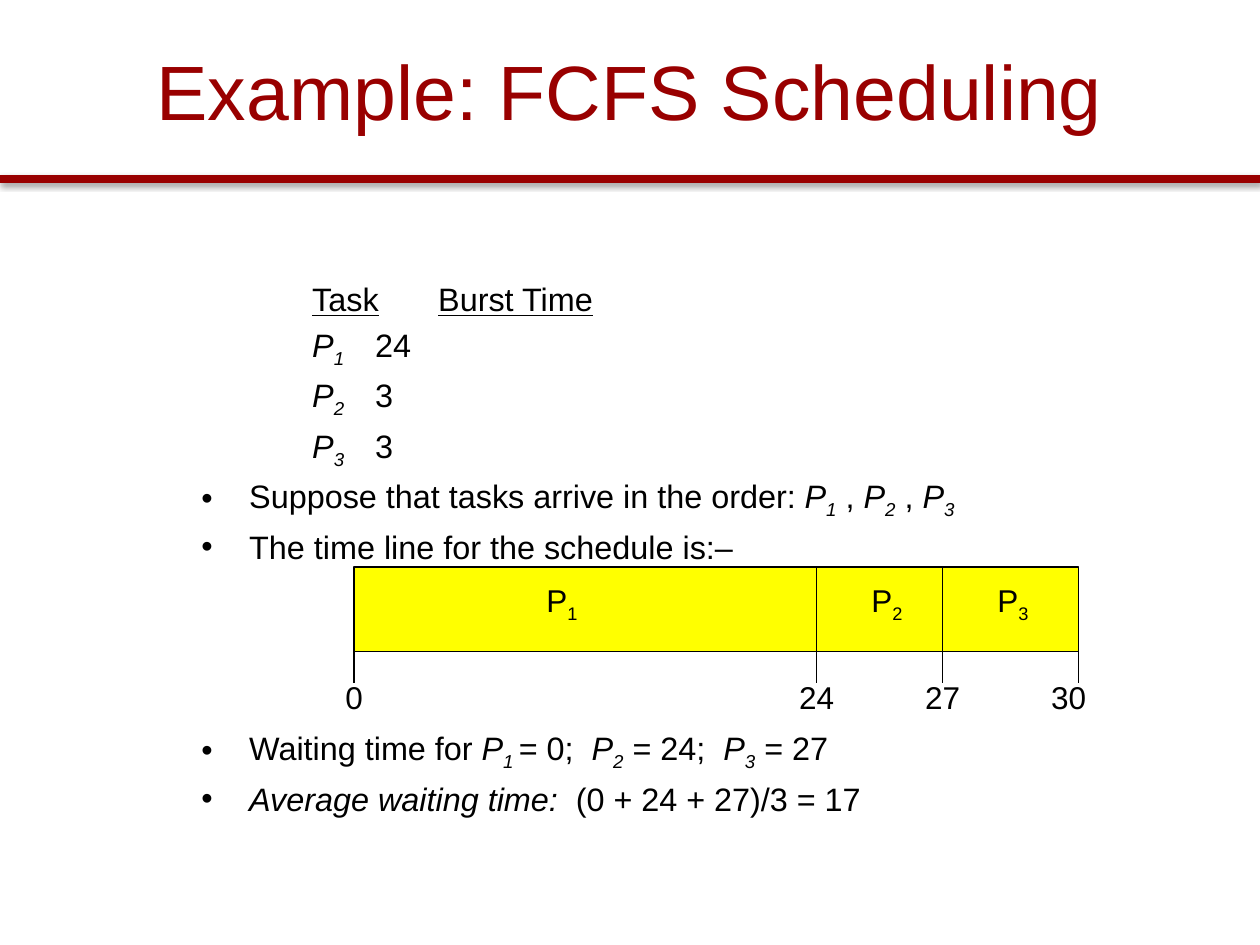
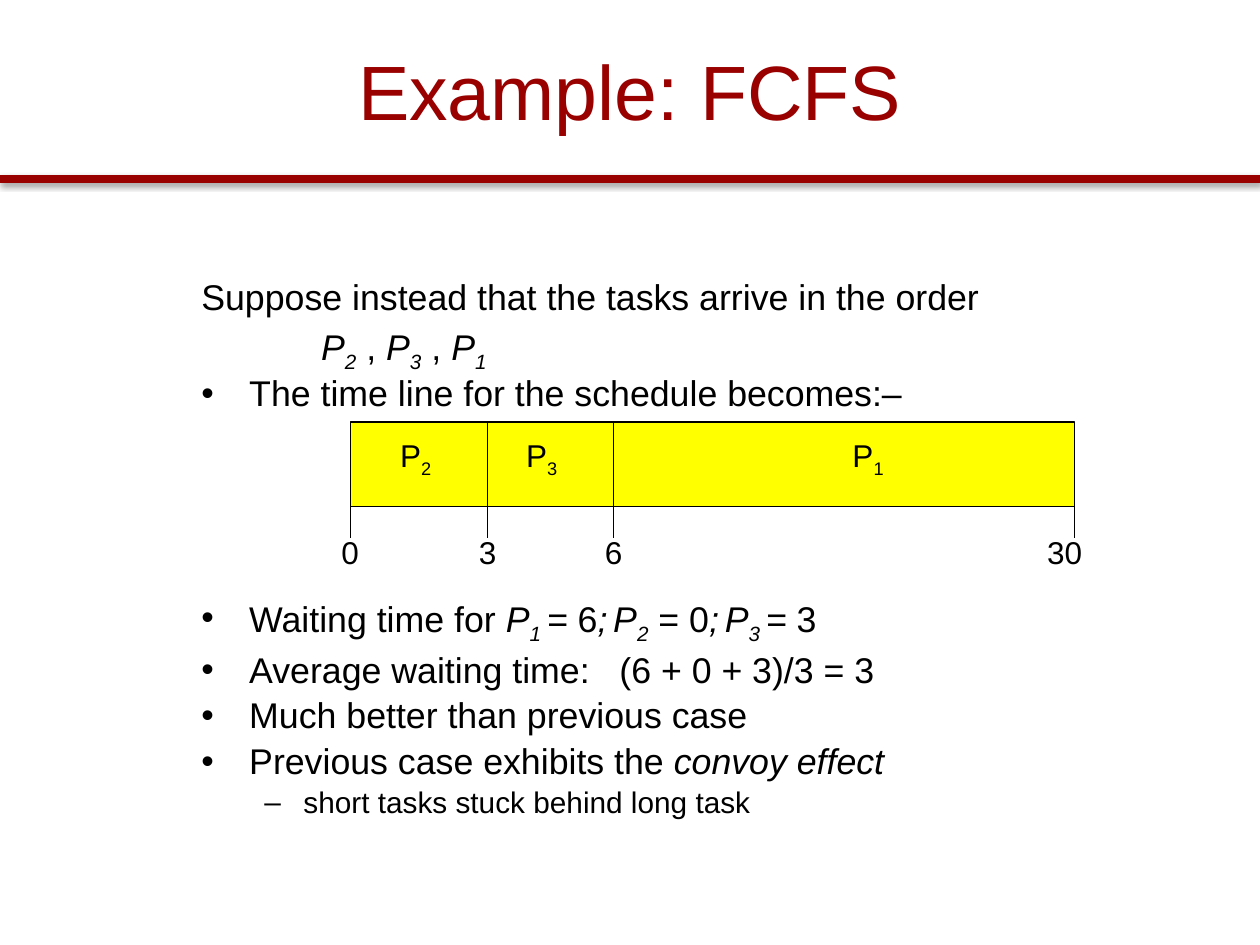
from lxml import etree
from pptx import Presentation
from pptx.dml.color import RGBColor
from pptx.enum.shapes import MSO_CONNECTOR, MSO_SHAPE
from pptx.enum.text import MSO_ANCHOR, PP_ALIGN
from pptx.oxml.ns import qn
from pptx.util import Inches, Pt

STRAIGHT, RECTANGLE = MSO_CONNECTOR.STRAIGHT, MSO_SHAPE.RECTANGLE
TOP, MIDDLE = MSO_ANCHOR.TOP, MSO_ANCHOR.MIDDLE
LEFT, CENTER = PP_ALIGN.LEFT, PP_ALIGN.CENTER
FONT, RED, BLACK, YELLOW = "Arial", "990000", "000000", "FFFF00"
WIDTH, HEIGHT = 10, 7.5
RULE_Y = 1.42
BAR_WIDTH, BAR_HEIGHT, TICK = 5.75, 0.67, 0.25
HANG = 0.38

# Runs are plain strings or (text, style): i italic, s subscript, u underlined
P1, P2, P3 = ([("P", "i"), (number, "is")] for number in "123")
SEMICOLON = [(";", "i"), (" ", "is")]
ROW = dict(margin=HANG + 0.5, indent=0)
ITEM = dict(bullet="•")

EXAMPLES = [
    dict(
        title="Example: FCFS Scheduling", body_height=4.5, size=18.5, line=1.0, before=3.6,
        body=[
            ([("Task", "u"), "\t", ("Burst Time", "u")], dict(ROW, before=2)),
            ([*P1, "\t24"], ROW),
            ([*P2, " \t3"], ROW),
            ([*P3, "\t3"], ROW),
            (["Suppose that tasks arrive in the order: ", *P1, " , ", *P2, " , ", *P3], ITEM),
            (["The time line for the schedule is:–"], ITEM),
            (["Waiting time for ", ("P", "i"), ("1 ", "is"), "= 0;  ", *P2, " = 24;  ", *P3, " = 27"],
             dict(ITEM, before=93)),
            ([("Average waiting time:", "i"), "  (0 + 24 + 27)/3 = 17"], ITEM),
        ],
        bar=(2.81, 4.5),
        marks=[("0", 0), ("24", 3.67), ("27", 4.67), ("30", BAR_WIDTH)],
        tasks=[("1", 1.65), ("2", 4.23), ("3", 5.23)],
    ),
    dict(
        title="Example: FCFS", body_height=4.67, size=20.4, line=0.9, before=4,
        body=[
            (["Suppose instead that the tasks arrive in the order"], dict(before=2)),
            ([*P2, " , ", *P3, " , ", *P1], dict(ROW, margin=0.95)),
            (["The time line for the schedule becomes:–"], ITEM),
            (["Waiting time for ", ("P", "i"), ("1 ", "is"), ("=", "i"), " 6", *SEMICOLON, *P2,
              " = 0", *SEMICOLON, ("P", "i"), ("3 ", "is"), ("= ", "i"), "3"],
             dict(ITEM, before=104.5)),
            (["Average waiting time:   (6 + 0 + 3)/3 = 3"], dict(ITEM, before=6.3)),
            (["Much better than previous case"], ITEM),
            (["Previous case exhibits the ", ("convoy effect", "i")], ITEM),
            (["short tasks stuck behind long task"],
             dict(bullet="–", margin=0.81, indent=-0.31, size=17, before=3.3)),
        ],
        bar=(2.78, 3.35),
        marks=[("0", 0), ("3", 1.09), ("6", 2.09), ("30", BAR_WIDTH)],
        tasks=[("2", 0.52), ("3", 1.52), ("1", 4.11)],
    ),
]


def write(slide, place, paragraphs, color=BLACK, size=18, align=CENTER, anchor=MIDDLE,
          wrap=False, line=1.0, margin=0, indent=0, before=0):
    """Add a text box; each paragraph is (runs, its own format)."""
    frame = slide.shapes.add_textbox(*map(Inches, place)).text_frame
    frame.word_wrap, frame.vertical_anchor = wrap, anchor
    for index, (runs, own) in enumerate(paragraphs):
        paragraph = frame.add_paragraph() if index else frame.paragraphs[0]
        paragraph.alignment, paragraph.line_spacing = align, line
        paragraph.space_before = Pt(own.get("before", before))
        properties = paragraph._p.get_or_add_pPr()
        properties.set("marL", str(Inches(own.get("margin", margin))))
        properties.set("indent", str(Inches(own.get("indent", indent))))
        properties.set("defTabSz", str(Inches(0.5)))
        if "bullet" in own:
            etree.SubElement(properties, qn("a:buFont")).set("typeface", FONT)
            etree.SubElement(properties, qn("a:buChar")).set("char", own["bullet"])
        else:
            etree.SubElement(properties, qn("a:buNone"))
        for piece in runs:
            text, style = (piece, "") if isinstance(piece, str) else piece
            run = paragraph.add_run()
            run.text = text
            font = run.font
            font.name, font.size = FONT, Pt(own.get("size", size))
            font.color.rgb = RGBColor.from_string(color)
            font.italic, font.underline = "i" in style, "u" in style
            if "s" in style:
                font._element.set("baseline", "-25000")


def draw_line(slide, start, end, color=BLACK, weight=0.75):
    """Add a straight line and return its effect list."""
    connector = slide.shapes.add_connector(STRAIGHT, *map(Inches, (*start, *end)))
    connector.line.color.rgb = RGBColor.from_string(color)
    connector.line.width = Pt(weight)
    return etree.SubElement(connector._element.spPr, qn("a:effectLst"))


deck = Presentation()
deck.slide_width, deck.slide_height = Inches(WIDTH), Inches(HEIGHT)

for example in EXAMPLES:
    slide = deck.slides.add_slide(deck.slide_layouts[6])

    effects = draw_line(slide, (0, RULE_Y), (WIDTH, RULE_Y), RED, 5)
    shadow = etree.SubElement(effects, qn("a:outerShdw"), blurRad=str(Pt(3.1)),
                              dist=str(Pt(1.6)), dir="5400000", rotWithShape="0")
    shade = etree.SubElement(shadow, qn("a:srgbClr"), val=BLACK)
    etree.SubElement(shade, qn("a:alpha"), val="38000")

    write(slide, (0.5, 0.09, 9, 1.25), [([example["title"]], {})], color=RED, size=44, wrap=True)
    write(slide, (1.5, 2.17, 8.5, example["body_height"]), example["body"], size=example["size"],
          align=LEFT, anchor=TOP, wrap=True, line=example["line"],
          margin=HANG, indent=-HANG, before=example["before"])

    left, top = example["bar"]
    bottom = top + BAR_HEIGHT
    bar = slide.shapes.add_shape(RECTANGLE, *map(Inches, (left, top, BAR_WIDTH, BAR_HEIGHT)))
    bar.shadow.inherit = False
    bar.fill.solid()
    bar.fill.fore_color.rgb = RGBColor.from_string(YELLOW)
    bar.line.color.rgb = RGBColor.from_string(BLACK)
    bar.line.width = Pt(0.75)

    for number, middle in example["tasks"]:
        write(slide, (left + middle - 0.23, top + 0.08, 0.46, 0.4), [(["P", (number, "s")], {})])

    for time, offset in example["marks"]:
        x = left + offset
        draw_line(slide, (x, bottom), (x, bottom + TICK))
        if 0 < offset < BAR_WIDTH:
            draw_line(slide, (x, top), (x, bottom))
        label_width = 0.2 + 0.14 * len(time)
        label_x = x - 0.08 if offset == BAR_WIDTH else x
        write(slide, (label_x - label_width / 2, top + 0.83, label_width, 0.4), [([time], {})])

deck.save("out.pptx")
